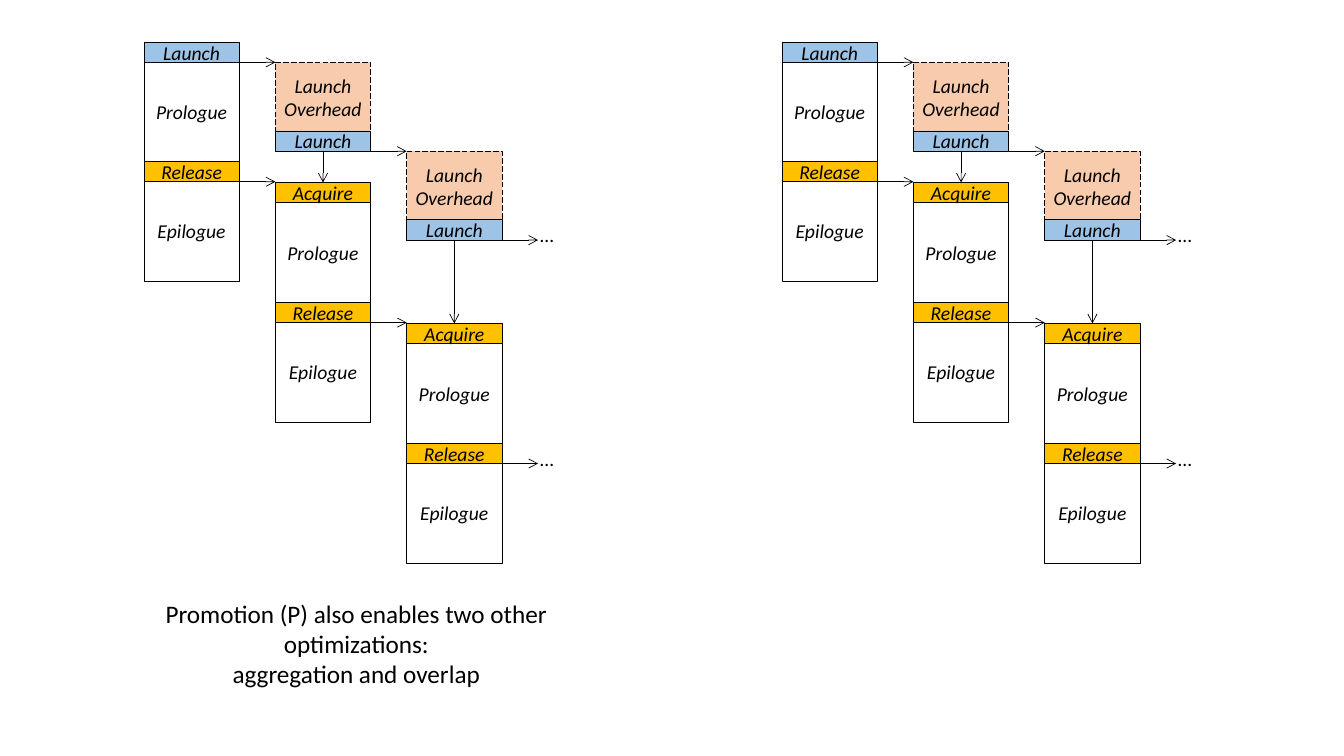
from lxml import etree
from pptx import Presentation
from pptx.dml.color import RGBColor
from pptx.enum.dml import MSO_LINE
from pptx.enum.shapes import MSO_CONNECTOR, MSO_SHAPE
from pptx.enum.text import MSO_ANCHOR, PP_ALIGN
from pptx.oxml.ns import qn
from pptx.util import Cm, Pt

RECTANGLE = MSO_SHAPE.RECTANGLE
STRAIGHT = MSO_CONNECTOR.STRAIGHT
LONG_DASH = MSO_LINE.LONG_DASH
MIDDLE = MSO_ANCHOR.MIDDLE
CENTER, LEFT = PP_ALIGN.CENTER, PP_ALIGN.LEFT

THEME = {
    "ink": RGBColor.from_string("000000"),
    "fills": {
        "Launch": RGBColor.from_string("9DC3E6"),
        "Launch Overhead": RGBColor.from_string("F8CBAD"),
        "Acquire": RGBColor.from_string("FFC000"),
        "Release": RGBColor.from_string("FFC000"),
        "Prologue": RGBColor.from_string("FFFFFF"),
        "Epilogue": RGBColor.from_string("FFFFFF"),
    },
    "stroke": Pt(0.5),
    "step": {"name": "Calibri", "size": Pt(14), "italic": True},
    "dots": {"name": "Calibri", "size": Pt(14)},
    "caption": {"name": "Calibri", "size": Pt(18)},
}
FLUSH = {"margin_left": 0, "margin_right": 0, "margin_top": 0, "margin_bottom": 0}

PANEL_LEFTS = [3.63, 19.84 - 0.13]
KERNELS = 3
COLUMN_PITCH, BOX_WIDTH = 3.31, 2.4
ARROW_LENGTH = COLUMN_PITCH - BOX_WIDTH
BAR_HEIGHT, BODY_HEIGHT, OVERHEAD_HEIGHT = 0.51, 2.53, 1.77
LAUNCH_TOP, LAUNCH_PITCH = 1.06, 2.24
KERNEL_TOP, KERNEL_PITCH = 1.56, 3.55


def write(frame, lines, style, align, layout):
    for attribute, value in layout.items():
        setattr(frame, attribute, value)
    frame.text = "\n".join(lines)
    for paragraph in frame.paragraphs:
        paragraph.alignment = align
        paragraph.font.color.rgb = THEME["ink"]
        for attribute, value in THEME[style].items():
            setattr(paragraph.font, attribute, value)


def draw_arrow(panel, x1, y1, x2, y2):
    arrow = panel.shapes.add_connector(STRAIGHT, Cm(x1), Cm(y1), Cm(x2), Cm(y2))
    arrow.line.color.rgb = THEME["ink"]
    arrow.line.width = THEME["stroke"]
    properties = arrow._element.spPr
    etree.SubElement(properties.find(qn("a:ln")), qn("a:tailEnd"), type="arrow")
    etree.SubElement(properties, qn("a:effectLst"))


deck = Presentation()
deck.slide_width, deck.slide_height = Cm(33.87), Cm(19.05)
slide = deck.slides.add_slide(deck.slide_layouts[6])

for panel_left in PANEL_LEFTS:
    panel = slide.shapes.add_group_shape()
    for kernel in range(KERNELS):
        left = panel_left + kernel * COLUMN_PITCH
        right = left + BOX_WIDTH
        launch_top = LAUNCH_TOP + kernel * LAUNCH_PITCH
        launch_end = launch_top + BAR_HEIGHT
        kernel_top = KERNEL_TOP + kernel * KERNEL_PITCH
        acquire_top = kernel_top - BAR_HEIGHT
        release_top = kernel_top + 2.51
        release_end = release_top + BAR_HEIGHT

        steps = [
            ("Epilogue", kernel_top + 3, BODY_HEIGHT),
            ("Prologue", kernel_top, BODY_HEIGHT),
            ("Release", release_top, BAR_HEIGHT),
        ]
        if kernel:
            steps += [
                ("Launch Overhead", launch_end - LAUNCH_PITCH, OVERHEAD_HEIGHT),
                ("Acquire", acquire_top, BAR_HEIGHT),
            ]
        steps.append(("Launch", launch_top, BAR_HEIGHT))

        for label, top, height in steps:
            step = panel.shapes.add_shape(
                RECTANGLE, Cm(left), Cm(top), Cm(BOX_WIDTH), Cm(height))
            step.shadow.inherit = False
            step.fill.solid()
            step.fill.fore_color.rgb = THEME["fills"][label]
            step.line.color.rgb = THEME["ink"]
            step.line.width = THEME["stroke"]
            if label == "Launch Overhead":
                step.line.dash_style = LONG_DASH
            write(step.text_frame, [label], "step", CENTER,
                  {**FLUSH, "word_wrap": True, "vertical_anchor": MIDDLE})

        if kernel:
            center = left + BOX_WIDTH / 2
            draw_arrow(panel, center, launch_end, center, acquire_top)
        for signal in (launch_end, release_end):
            draw_arrow(panel, right, signal, right + ARROW_LENGTH, signal)
            if kernel == KERNELS - 1:
                dots = panel.shapes.add_textbox(
                    Cm(right + ARROW_LENGTH + 0.05), Cm(signal - 0.42), Cm(0.69), Cm(0.61))
                write(dots.text_frame, ["…"], "dots", LEFT, {**FLUSH, "word_wrap": False})

caption = slide.shapes.add_textbox(Cm(2.18), Cm(14.94), Cm(13.6), Cm(1.8))
write(caption.text_frame,
      ["Promotion (P) also enables two other optimizations:", "aggregation and overlap"],
      "caption", CENTER, {"word_wrap": True})

deck.save("out.pptx")
